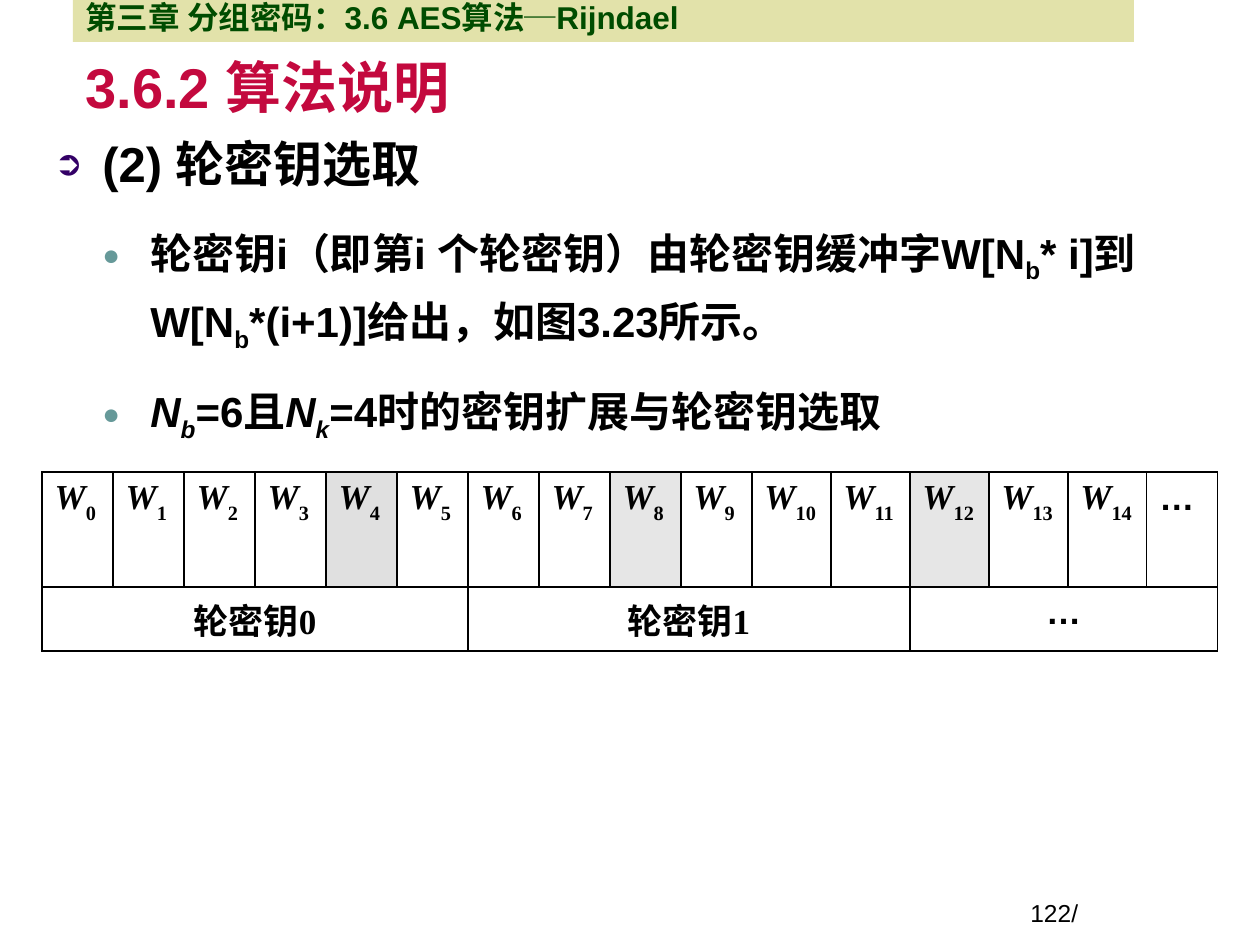
from dataclasses import dataclass

from lxml.etree import SubElement
from pptx import Presentation
from pptx.dml.color import RGBColor
from pptx.enum.shapes import MSO_SHAPE
from pptx.enum.text import MSO_ANCHOR, MSO_AUTO_SIZE, PP_ALIGN
from pptx.oxml.ns import qn
from pptx.util import Emu, Pt

PX_PER_INCH = 126


@dataclass(frozen=True)
class Theme:
    sans: str = "Arial"
    serif: str = "Times New Roman"
    ink: str = "000000"
    title: str = "C3093E"
    banner: str = "E2E2AA"
    banner_text: str = "004C00"
    main_bullet: str = "330066"
    sub_bullet: str = "669999"
    title_size: int = 32
    main_size: int = 28
    sub_size: int = 24
    table_size: int = 20
    banner_size: int = 18
    page_size: int = 14


THEME = Theme()
HANGING = 48
COLUMNS = [71] * 10 + [79] * 5 + [71]
ROWS = [115, 64]
SHADES = {4: "E0E0E0", 8: "E6E6E6", 12: "E6E6E6"}
ROUND_KEYS = [("轮密钥0", 0, 5), ("轮密钥1", 6, 11), ("…", 12, 15)]

# Each run is text plus style letters: i for italic, s for subscript
POINTS = [
    [("轮密钥i（即第i 个轮密钥）由轮密钥缓冲字W[N", ""), ("b", "s"),
     ("* i]到W[N", ""), ("b", "s"), ("*(i+1)]给出，如图3.23所示。", "")],
    [("N", "i"), ("b", "is"), ("=6且", ""), ("N", "i"), ("k", "is"),
     ("=4时的密钥扩展与轮密钥选取", "")],
]


def px(length):
    return Emu(round(length * 914400 / PX_PER_INCH))


def frame(*lengths):
    return [px(length) for length in lengths]


def rgb(value):
    return RGBColor.from_string(value)


def style(paragraph, size, color=THEME.ink, name=THEME.sans, bold=True):
    font = paragraph.font
    font.size, font.name, font.bold = Pt(size), name, bold
    font.color.rgb = rgb(color)


def add_runs(paragraph, runs, drop=-25):
    for text, marks in runs:
        span = paragraph.add_run()
        span.text = text
        if "i" in marks:
            span.font.italic = True
        if "s" in marks:
            span._r.get_or_add_rPr().set("baseline", str(drop * 1000))


def hang(paragraph, left):
    properties = paragraph._p.get_or_add_pPr()
    properties.set("marL", str(px(left)))
    properties.set("indent", str(-px(HANGING)))
    return properties


def add_bullet(paragraph, left, symbol, color):
    properties = hang(paragraph, left)
    tint = SubElement(properties, qn("a:buClr"))
    SubElement(tint, qn("a:srgbClr"), val=color)
    SubElement(properties, qn("a:buSzPct"), val="70000")
    SubElement(properties, qn("a:buFont"), typeface=THEME.sans)
    SubElement(properties, qn("a:buChar"), char=symbol)


def set_title(page, text):
    title = page.shapes.title
    title.left, title.top, title.width, title.height = frame(73, 53, 1061, 73)
    box = title.text_frame
    box.auto_size = MSO_AUTO_SIZE.NONE
    box.vertical_anchor = MSO_ANCHOR.BOTTOM
    para = box.paragraphs[0]
    para.alignment = PP_ALIGN.LEFT
    para.line_spacing = 1.1
    add_runs(para, [(text, "")])
    style(para, THEME.title_size, THEME.title)


def add_banner(page, text):
    banner = page.shapes.add_shape(MSO_SHAPE.RECTANGLE, *frame(73, 0, 1061, 42))
    banner.shadow.inherit = False
    banner.fill.solid()
    banner.fill.fore_color.rgb = rgb(THEME.banner)
    banner.line.fill.background()
    box = banner.text_frame
    box.vertical_anchor = MSO_ANCHOR.BOTTOM
    para = box.paragraphs[0]
    para.alignment = PP_ALIGN.LEFT
    add_runs(para, [(text, "")])
    style(para, THEME.banner_size, THEME.banner_text)


def add_text_box(page, *place):
    box = page.shapes.add_textbox(*frame(*place)).text_frame
    box.word_wrap = True
    return box


def add_outline(page, heading, points):
    box = add_text_box(page, 42, 116, 1187, 347)
    for index, runs in enumerate([heading, *points]):
        main = index == 0
        size = THEME.main_size if main else THEME.sub_size
        para = box.paragraphs[0] if main else box.add_paragraph()
        para.line_spacing = 1.2
        para.space_after = Pt(round(size * 0.1))
        if main:
            add_bullet(para, HANGING, "➲", THEME.main_bullet)
        else:
            para.level = 1
            para.space_before = Pt(round(size * 0.4))
            add_bullet(para, 2 * HANGING, "●", THEME.sub_bullet)
        add_runs(para, runs)
        style(para, size)


def add_borders(cell):
    properties = cell._tc.get_or_add_tcPr()
    for position, side in enumerate(("a:lnL", "a:lnR", "a:lnT", "a:lnB")):
        line = properties.makeelement(qn(side), {"w": str(Pt(1))})
        fill = SubElement(line, qn("a:solidFill"))
        SubElement(fill, qn("a:srgbClr"), val=THEME.ink)
        properties.insert(position, line)


def fill_cell(cell, runs, name, align=PP_ALIGN.LEFT):
    para = cell.text_frame.paragraphs[0]
    para.alignment = align
    hang(para, HANGING)
    add_runs(para, runs, drop=-30)
    style(para, THEME.table_size, name=name)


def add_key_table(page):
    place = frame(42, 472, sum(COLUMNS), sum(ROWS))
    table = page.shapes.add_table(len(ROWS), len(COLUMNS), *place).table
    table.first_row = table.horz_banding = False
    for column, width in zip(table.columns, COLUMNS):
        column.width = px(width)
    for row, height in zip(table.rows, ROWS):
        row.height = px(height)
        for index, cell in enumerate(row.cells):
            if row is table.rows[0] or height == ROWS[0]:
                shade = SHADES.get(index)
            else:
                shade = None
            if shade:
                cell.fill.solid()
                cell.fill.fore_color.rgb = rgb(shade)
            else:
                cell.fill.background()
            add_borders(cell)

    # Expanded key words
    last = len(COLUMNS) - 1
    for index in range(last):
        fill_cell(table.cell(0, index), [("W", "i"), (str(index), "s")], THEME.serif)
    fill_cell(table.cell(0, last), [("…", "")], THEME.sans)

    # Round keys, each spanning its words
    for text, first, end in ROUND_KEYS:
        cell = table.cell(1, first)
        cell.merge(table.cell(1, end))
        name = THEME.sans if text == "…" else THEME.serif
        fill_cell(cell, [(text, "")], name, PP_ALIGN.CENTER)


def add_page_number(page, text):
    para = add_text_box(page, 1018, 892, 179, 42).paragraphs[0]
    add_runs(para, [(text, "")])
    style(para, THEME.page_size, bold=False)


def main():
    deck = Presentation()
    deck.slide_width, deck.slide_height = frame(1260, 945)
    page = deck.slides.add_slide(deck.slide_layouts[5])
    set_title(page, "3.6.2 算法说明")
    add_outline(page, [("(2) 轮密钥选取", "")], POINTS)
    add_page_number(page, "122/")
    add_banner(page, "第三章 分组密码：3.6 AES算法─Rijndael")
    add_key_table(page)
    deck.save("out.pptx")


if __name__ == "__main__":
    main()
